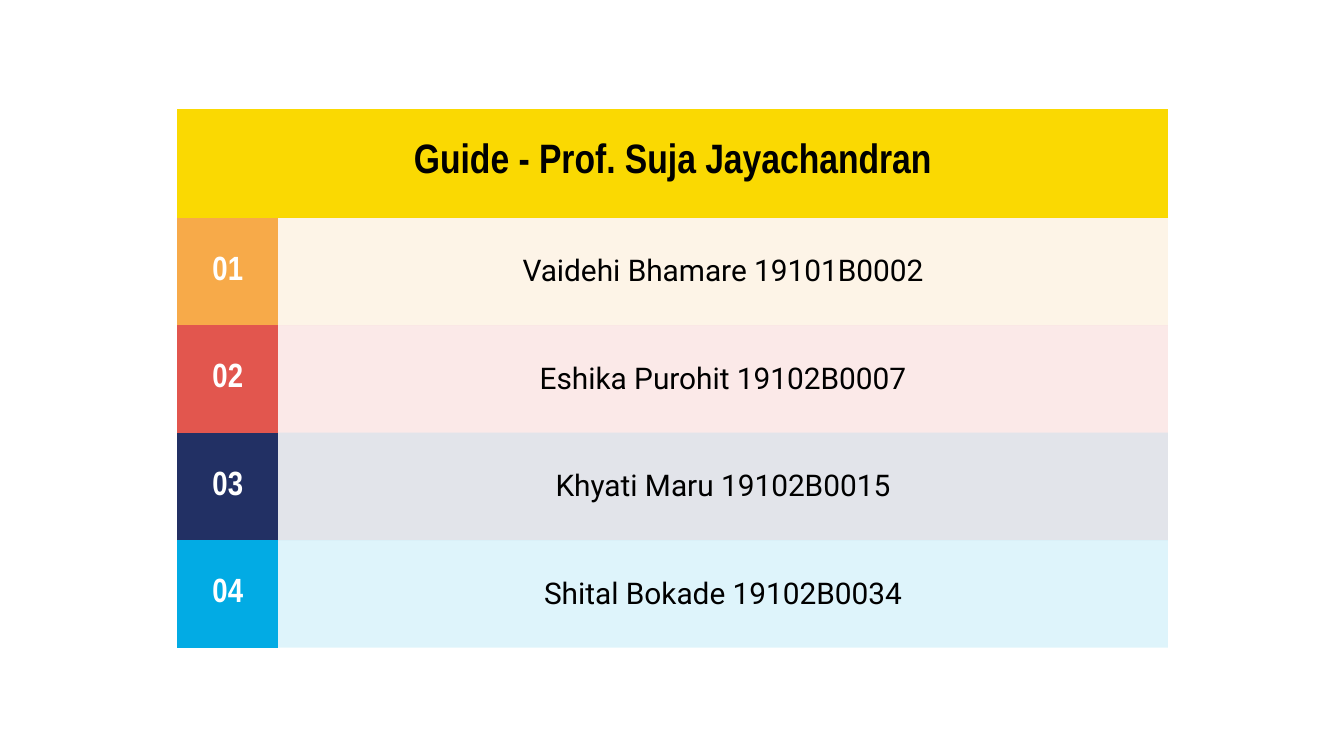
from typing import NamedTuple

from lxml import etree
from pptx import Presentation
from pptx.dml.color import RGBColor
from pptx.enum import text
from pptx.oxml import ns
from pptx.table import _Cell
from pptx.util import Inches, Pt

BLACK = RGBColor(0x00, 0x00, 0x00)
WHITE = RGBColor(0xFF, 0xFF, 0xFF)
YELLOW = RGBColor(0xFA, 0xD9, 0x02)
ORANGE = RGBColor(0xF7, 0xAA, 0x49)
RED = RGBColor(0xE2, 0x56, 0x4E)
NAVY = RGBColor(0x22, 0x30, 0x64)
CYAN = RGBColor(0x02, 0xAB, 0xE4)

NO_STYLE_NO_GRID = "{2D5ABB26-0587-4C30-8999-92F81FD0307C}"
TINT_PERCENT = 13
SLIDE_WIDTH = Inches(10)
SLIDE_HEIGHT = SLIDE_WIDTH * 9 // 16
MARGIN = Inches(0.1)
COLUMN_WIDTHS = (0.75, 6.62)
HEADER_HEIGHT = 0.81
ROW_HEIGHT = 0.8


class Student(NamedTuple):
    label: str
    color: RGBColor


class TextStyle(NamedTuple):
    font: str
    size: int
    color: RGBColor
    bold: bool


STUDENTS = (
    Student("Vaidehi Bhamare 19101B0002", ORANGE),
    Student("Eshika Purohit 19102B0007", RED),
    Student("Khyati Maru 19102B0015", NAVY),
    Student("Shital Bokade 19102B0034", CYAN),
)
HEADER_STYLE = TextStyle("Arial Narrow", 22, BLACK, True)
NUMBER_STYLE = TextStyle("Arial Narrow", 18, WHITE, True)
NAME_STYLE = TextStyle("Roboto", 16, BLACK, False)


def fill_cell(cell: _Cell, label: str, style: TextStyle, color: RGBColor, opacity: int = 100) -> None:
    """Write centred text on a solid fill; opacity is in percent."""
    cell.fill.solid()
    cell.fill.fore_color.rgb = color
    if opacity < 100:
        color_element = next(cell._tc.tcPr.iter(ns.qn("a:srgbClr")))
        etree.SubElement(color_element, ns.qn("a:alpha"), val=str(opacity * 1000))

    cell.margin_left = cell.margin_right = MARGIN
    cell.margin_top = cell.margin_bottom = MARGIN
    cell.vertical_anchor = text.MSO_ANCHOR.MIDDLE
    paragraph = cell.text_frame.paragraphs[0]
    paragraph.text = label
    paragraph.alignment = text.PP_ALIGN.CENTER
    font = paragraph.runs[0].font
    font.name = style.font
    font.size = Pt(style.size)
    font.color.rgb = style.color
    font.bold = style.bold


def main() -> None:
    presentation = Presentation()
    presentation.slide_width = SLIDE_WIDTH
    presentation.slide_height = SLIDE_HEIGHT
    slide = presentation.slides.add_slide(presentation.slide_layouts[6])

    table_height = HEADER_HEIGHT + ROW_HEIGHT * len(STUDENTS)
    table = slide.shapes.add_table(
        len(STUDENTS) + 1, len(COLUMN_WIDTHS),
        Inches(1.32), Inches(0.81), Inches(sum(COLUMN_WIDTHS)), Inches(table_height),
    ).table
    table.first_row = False
    table.horz_banding = False
    next(table._tbl.iter(ns.qn("a:tableStyleId"))).text = NO_STYLE_NO_GRID
    for column, width in zip(table.columns, COLUMN_WIDTHS):
        column.width = Inches(width)
    for row in table.rows:
        row.height = Inches(ROW_HEIGHT)
    table.rows[0].height = Inches(HEADER_HEIGHT)

    header = table.cell(0, 0)
    header.merge(table.cell(0, 1))
    fill_cell(header, "Guide - Prof. Suja Jayachandran", HEADER_STYLE, YELLOW)
    for number, student in enumerate(STUDENTS, start=1):
        fill_cell(table.cell(number, 0), f"{number:02}", NUMBER_STYLE, student.color)
        fill_cell(table.cell(number, 1), student.label, NAME_STYLE, student.color, TINT_PERCENT)

    presentation.save("out.pptx")


if __name__ == "__main__":
    main()
